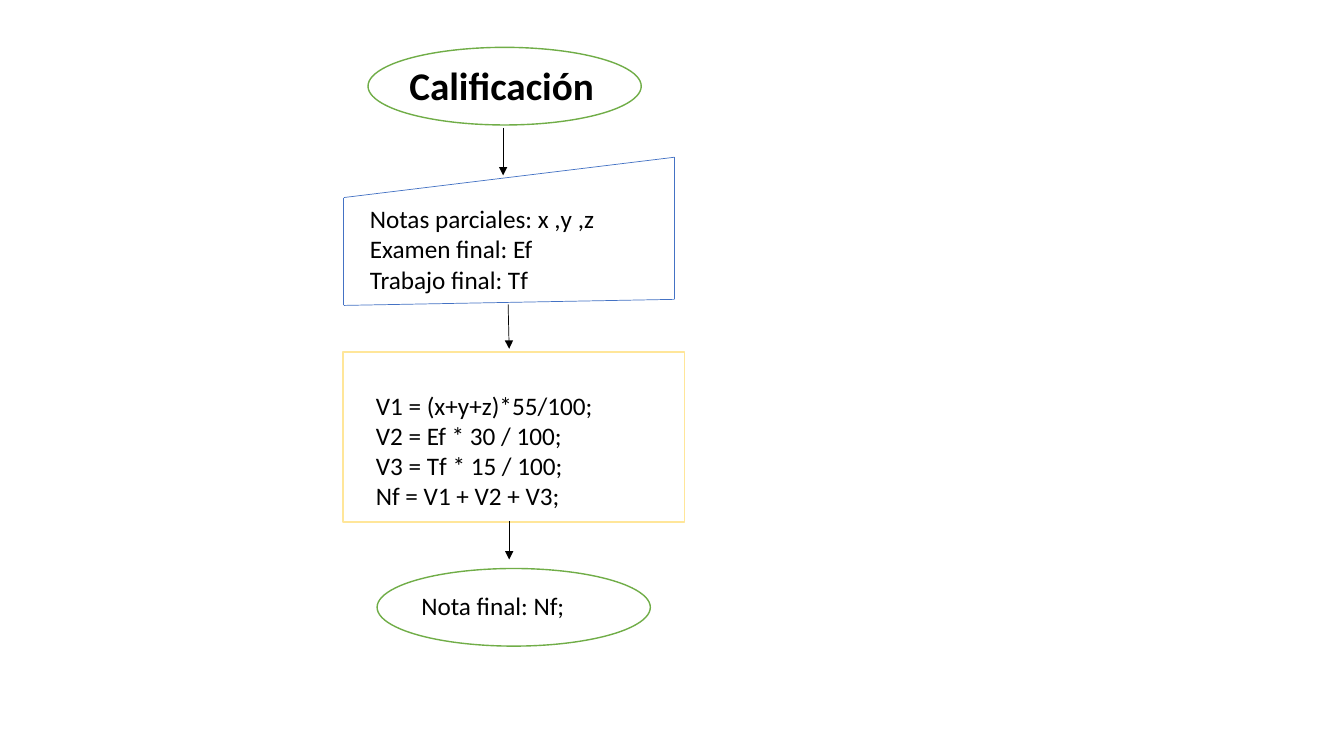
from itertools import pairwise

from lxml import etree
from pptx import Presentation
from pptx import util as u
from pptx.dml.color import RGBColor
from pptx.enum import shapes, text
from pptx.oxml.ns import qn

COLOURS = {"ink": "000000", "paper": "FFFFFF", "terminal": "70AD47",
           "input": "4472C4", "process": "FFE699"}
FONT = "Calibri"


def colour(name):
    return RGBColor.from_string(COLOURS[name])


def write(frame, lines, size=18, bold=False, autosize=text.MSO_AUTO_SIZE.SHAPE_TO_FIT_TEXT):
    """Fill a text frame with one left-aligned paragraph per line."""
    frame.word_wrap = True
    frame.auto_size = autosize
    frame.vertical_anchor = text.MSO_ANCHOR.TOP
    for number, line in enumerate(lines):
        para = frame.add_paragraph() if number else frame.paragraphs[0]
        para.alignment = text.PP_ALIGN.LEFT
        para.line_spacing = 1.0
        para.space_before = u.Pt(0)
        span = para.add_run()
        span.text = line
        span.font.name = FONT
        span.font.size = u.Pt(size)
        span.font.bold = bold
        span.font.color.rgb = colour("ink")


class Flowchart:
    def __init__(self, page):
        self.page = page

    def title(self, line, left, top, width, height):
        box = self.page.shapes.title
        box.left, box.top, box.width, box.height = map(u.Inches, (left, top, width, height))
        write(box.text_frame, [line], size=28, bold=True)
        # Bring the title in front of its ellipse
        box.element.getparent().append(box.element)

    def label(self, lines, left, top, width, height):
        box = self.page.shapes.add_textbox(*map(u.Inches, (left, top, width, height)))
        write(box.text_frame, lines)

    def node(self, kind, line_colour, left, top, width, height):
        shape = self.page.shapes.add_shape(kind, *map(u.Inches, (left, top, width, height)))
        shape.shadow.inherit = False
        shape.fill.solid()
        shape.fill.fore_color.rgb = colour("paper")
        shape.line.color.rgb = colour(line_colour)
        shape.line.width = u.Pt(1)

    def terminal(self, left, top):
        self.node(shapes.MSO_SHAPE.OVAL, "terminal", left, top, 2.71, 0.77)

    def line(self, start, end, line_colour="ink", arrow=False):
        link = self.page.shapes.add_connector(
            shapes.MSO_CONNECTOR.STRAIGHT, *map(u.Inches, (*start, *end)))
        link.line.color.rgb = colour(line_colour)
        link.line.width = u.Pt(0.5)
        if arrow:
            etree.SubElement(link.line._get_or_add_ln(), qn("a:tailEnd"), type="triangle")
        etree.SubElement(link.element.spPr, qn("a:effectLst"))


deck = Presentation()
deck.slide_width, deck.slide_height = u.Inches(13.33), u.Inches(7.5)
chart = Flowchart(deck.slides.add_slide(deck.slide_layouts[5]))

# Start
chart.terminal(3.65, 0.47)
chart.title("Calificación", 3.96, 0.56, 2.08, 0.57)

# Manual input with a slanted top
corners = [(3.41, 1.96), (6.69, 1.56), (6.69, 2.97), (3.41, 3.03), (3.41, 1.96)]
for start, end in pairwise(corners):
    chart.line(start, end, "input")
chart.label(["Notas parciales: x ,y ,z", "Examen final: Ef", "Trabajo final: Tf"],
            3.57, 1.97, 2.96, 1.01)

# Process
chart.node(shapes.MSO_SHAPE.RECTANGLE, "process", 3.4, 3.49, 3.39, 1.69)
chart.label(["V1 = (x+y+z)*55/100;", "V2 = Ef * 30 / 100;",
             "V3 = Tf * 15 / 100;", "Nf = V1 + V2 + V3;"],
            3.63, 3.82, 2.96, 1.31)

# Result
chart.terminal(3.74, 5.64)
chart.label(["Nota final: Nf;"], 4.08, 5.81, 1.85, 0.4)

# Flow arrows
for start, end in [((4.99, 1.27), (4.99, 1.74)),
                   ((5.04, 3.02), (5.05, 3.46)),
                   ((5.05, 5.17), (5.05, 5.55))]:
    chart.line(start, end, arrow=True)

deck.save("out.pptx")
